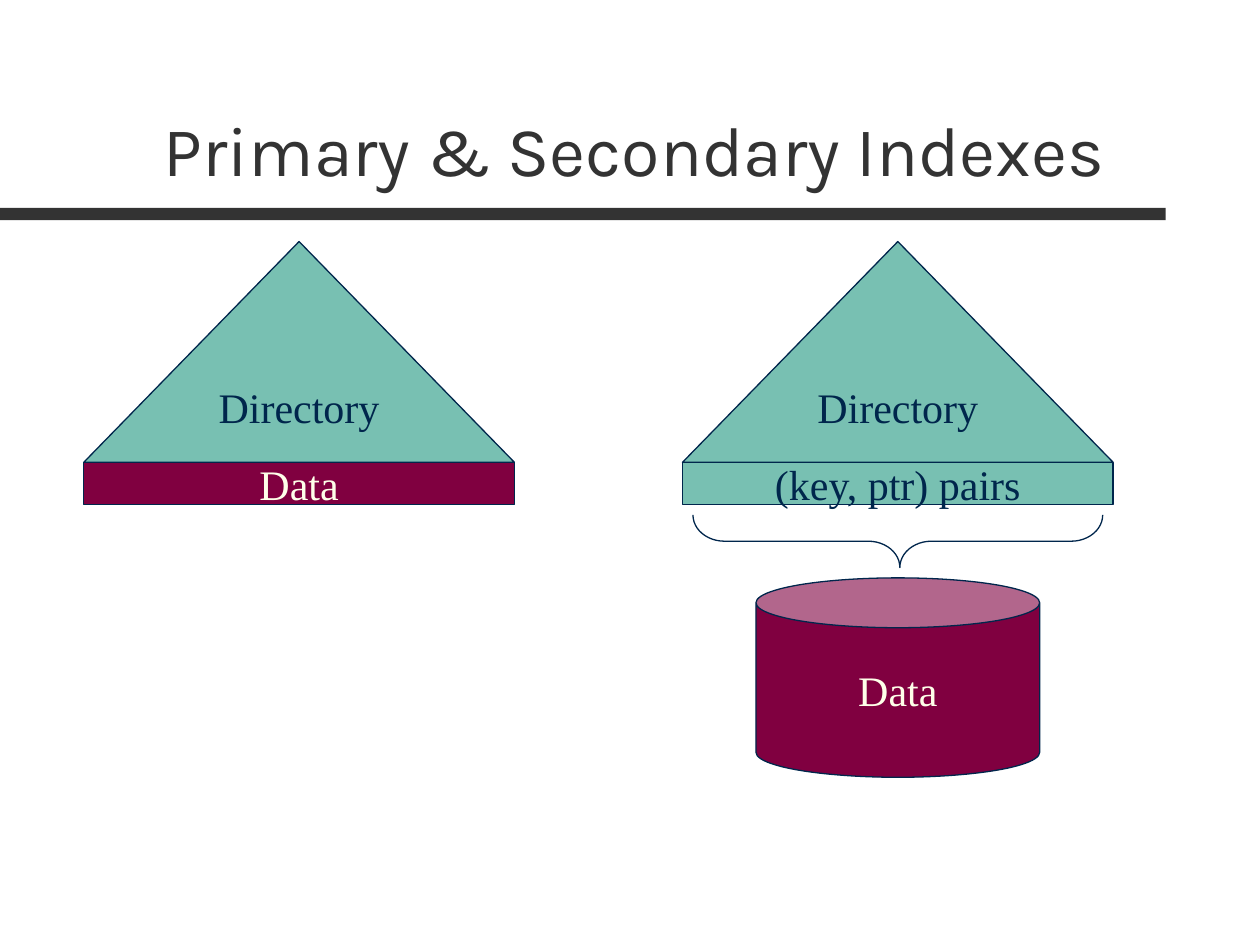
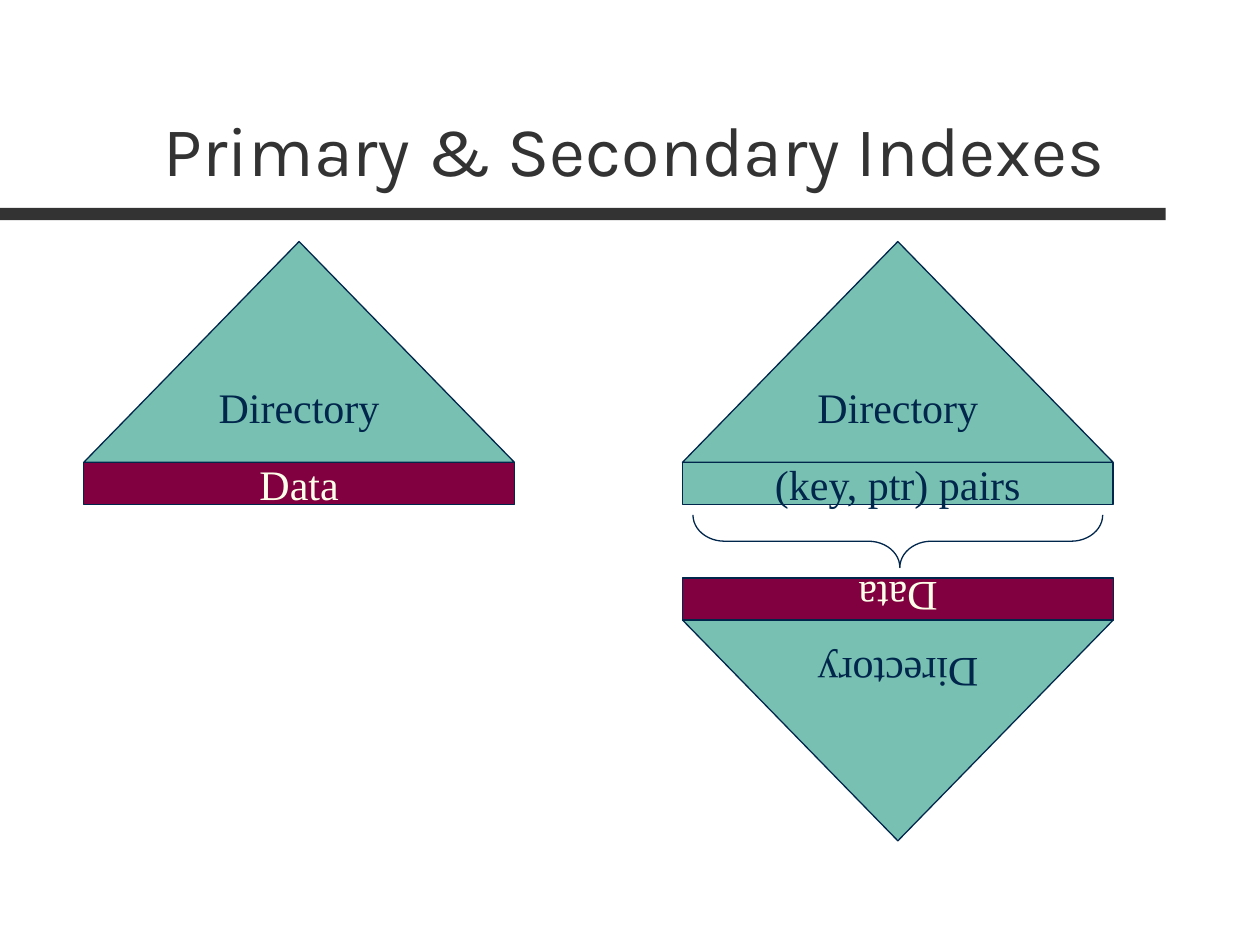
from pptx import Presentation
from pptx import util as u
from pptx.dml.color import RGBColor
from pptx.enum import shapes, text

SHAPE = shapes.MSO_SHAPE
COLORS = {"dark": "333333", "teal": "78C0B2", "wine": "800040",
          "navy": "00264C", "cream": "FFFFE9"}
TITLE = "Primary & Secondary Indexes"
TOP, LEFT, RIGHT = 4.87, 1.69, 13.76
INDEX_W, DIRECTORY_H, LEAF_H = 8.68, 4.45, 0.85
GAP, BRACE_H = 0.21, 1.06
CAN_W, CAN_H = 5.72, 4.02
DATA_TOP = TOP + DIRECTORY_H + LEAF_H + BRACE_H + 2 * GAP


def rgb(name):
    """Return the named colour."""
    return RGBColor.from_string(COLORS[name])


def write(tf, words, font="Times New Roman", size=24, color="navy",
          align=text.PP_ALIGN.CENTER, anchor=text.MSO_ANCHOR.MIDDLE, wrap=False):
    """Put formatted words into a text frame."""
    tf.auto_size = text.MSO_AUTO_SIZE.NONE
    tf.word_wrap = wrap
    tf.vertical_anchor = anchor
    p = tf.paragraphs[0]
    p.alignment = align
    r = p.add_run()
    r.text = words
    r.font.name, r.font.size = font, u.Pt(size)
    r.font.color.rgb = rgb(color)


def draw(parent, kind, x, y, w, h, fill=None, line="navy", rotation=0):
    """Add a preset shape, measured in centimetres."""
    sp = parent.add_shape(kind, *(u.Cm(v) for v in (x, y, w, h)))
    sp.shadow.inherit = False
    sp.rotation = rotation
    if fill:
        sp.fill.solid()
        sp.fill.fore_color.rgb = rgb(fill)
    else:
        sp.fill.background()
    if line:
        sp.line.color.rgb = rgb(line)
        sp.line.width = u.Pt(0.75)
    else:
        sp.line.fill.background()
    return sp


def add_index(parent, x, y, leaf="Data", fill="wine", color="cream", inverted=False):
    """Draw a directory triangle on its leaf level, or upside down below it."""
    rotation = 180 if inverted else 0
    directory_y = y + LEAF_H if inverted else y
    leaf_y = y if inverted else y + DIRECTORY_H
    directory = draw(parent, SHAPE.ISOSCELES_TRIANGLE, x, directory_y,
                     INDEX_W, DIRECTORY_H, "teal", rotation=rotation)
    write(directory.text_frame, "Directory")
    level = draw(parent, SHAPE.RECTANGLE, x, leaf_y, INDEX_W, LEAF_H, fill,
                 rotation=rotation)
    write(level.text_frame, leaf, color=color)


def add_brace(parent, x, y, w, h):
    """Draw a brace that fills the box and points down."""
    brace = draw(parent, SHAPE.LEFT_BRACE, x + (w - h) / 2, y + (h - w) / 2,
                 h, w, rotation=270)
    brace.adjustments[0] = 0.6
    brace.adjustments[1] = 0.505


def add_can(parent, x, y):
    """Draw the data file centred under an index at x."""
    can = draw(parent, SHAPE.CAN, x + (INDEX_W - CAN_W) / 2, y, CAN_W, CAN_H, "wine")
    can.adjustments[0] = 0.25
    write(can.text_frame, "Data", color="cream")


def add_slide(prs):
    """Add a slide with the title, its rule and both kinds of index."""
    s = prs.slides.add_slide(prs.slide_layouts.get_by_name("Title Only"))
    draw(s.shapes, SHAPE.RECTANGLE, 0, 4.19, 23.5, 0.25, "dark", line=None)
    title = s.shapes.title
    title.left, title.top = u.Cm(3.05), u.Cm(0.79)
    title.width, title.height = u.Cm(21.59), u.Cm(3.18)
    write(title.text_frame, TITLE, font="Karla", size=40, color="dark",
          align=text.PP_ALIGN.LEFT, anchor=text.MSO_ANCHOR.BOTTOM, wrap=True)
    add_index(s.shapes.add_group_shape().shapes, LEFT, TOP)
    add_index(s.shapes, RIGHT, TOP, "(key, ptr) pairs", "teal", "navy")
    add_brace(s.shapes, RIGHT + GAP, TOP + DIRECTORY_H + LEAF_H + GAP,
              INDEX_W - 2 * GAP, BRACE_H)
    return s


def main():
    """Build and save the slides."""
    prs = Presentation()
    prs.slide_width, prs.slide_height = u.Cm(25.4), u.Cm(19.05)
    add_can(add_slide(prs).shapes, RIGHT, DATA_TOP)
    group = add_slide(prs).shapes.add_group_shape()
    add_index(group.shapes, RIGHT, DATA_TOP, inverted=True)
    prs.save("out.pptx")


if __name__ == "__main__":
    main()
